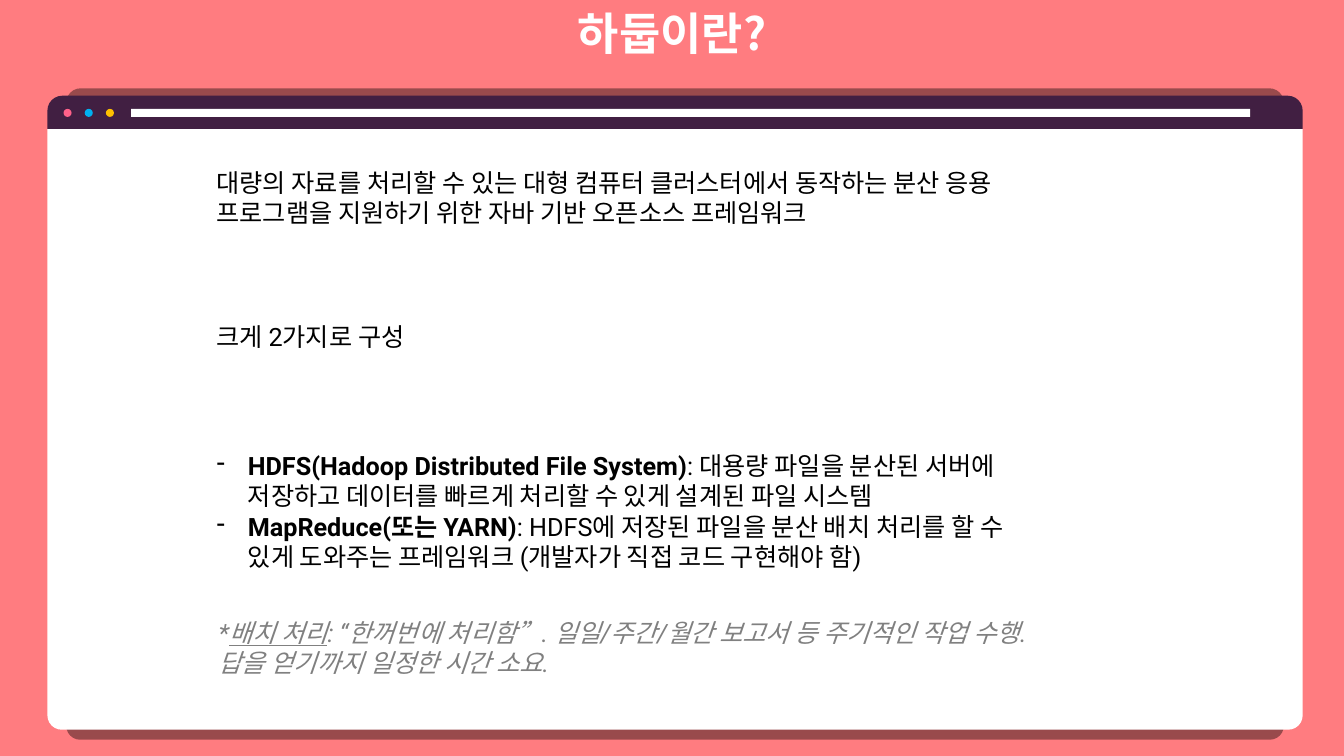
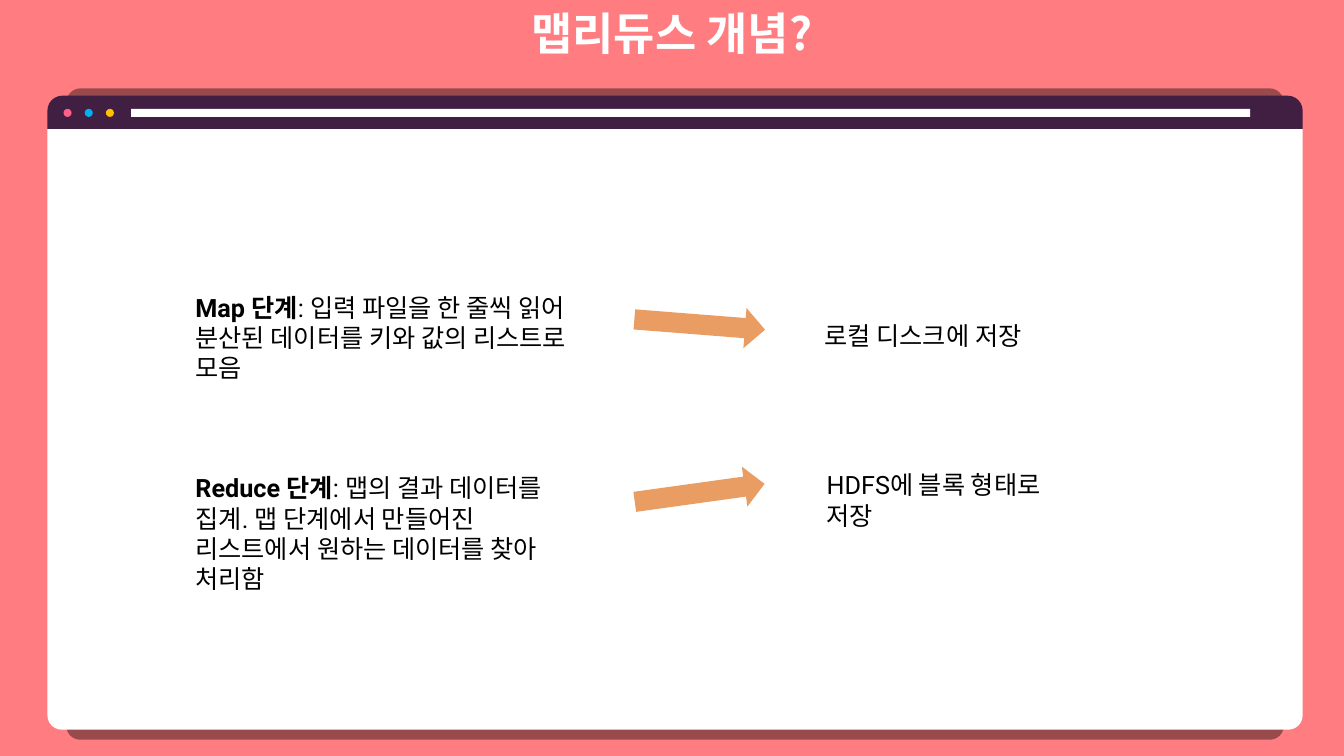
from lxml.etree import SubElement
from pptx import Presentation
from pptx.dml.color import RGBColor
from pptx.enum.shapes import MSO_SHAPE
from pptx.enum.text import PP_ALIGN
from pptx.oxml.ns import qn
from pptx.util import Inches, Pt

CORAL = RGBColor(0xFF, 0x7C, 0x80)
PLUM = RGBColor(0x41, 0x1F, 0x42)
WHITE = RGBColor(0xFF, 0xFF, 0xFF)
BLACK = RGBColor(0, 0, 0)
GRAY = RGBColor(0x80, 0x80, 0x80)
ORANGE = RGBColor(0xEA, 0x9D, 0x63)
DOT_COLORS = (
    RGBColor(0xFF, 0x61, 0x89),
    RGBColor(0x00, 0xB0, 0xF0),
    RGBColor(0xFF, 0xC0, 0x00),
)
KOREAN_FONT = "Noto Sans CJK KR"
BODY_FONT = "Roboto"
SLIDE_WIDTH, SLIDE_HEIGHT = 13.33, 7.5
WINDOW = (0.47, 0.95, 12.45, 6.29)


def add_block(slide, kind, box, color, adjustments=()):
    shape = slide.shapes.add_shape(kind, *map(Inches, box))
    shape.shadow.inherit = False
    shape.fill.solid()
    shape.fill.fore_color.rgb = color
    shape.line.fill.background()
    for index, value in enumerate(adjustments):
        shape.adjustments[index] = value
    return shape


def add_shadow(shape, distance, degrees, alignment):
    effects = shape._element.spPr.find(qn("a:effectLst"))
    shadow = SubElement(effects, qn("a:outerShdw"), {
        "blurRad": "0", "dist": str(Pt(distance)), "dir": str(degrees * 60000),
        "sx": "97000", "sy": "97000", "algn": alignment, "rotWithShape": "0",
    })
    color = SubElement(shadow, qn("a:srgbClr"), val=str(BLACK))
    SubElement(color, qn("a:alpha"), val="40000")


def add_text(slide, box, paragraphs, color=BLACK, size=18, font_name=BODY_FONT,
             bold=None, italic=None, align=PP_ALIGN.LEFT, bullet=None, gap=0):
    frame = slide.shapes.add_textbox(*map(Inches, box)).text_frame
    frame.word_wrap = True
    for index, runs in enumerate(paragraphs):
        paragraph = frame.add_paragraph() if index else frame.paragraphs[0]
        paragraph.alignment = align
        if index:
            paragraph.space_before = Pt(gap)
        if bullet:
            properties = paragraph._p.get_or_add_pPr()
            properties.set("marL", str(Inches(0.31)))
            properties.set("indent", str(-Inches(0.31)))
            SubElement(properties, qn("a:buFontTx"))
            SubElement(properties, qn("a:buChar"), char=bullet)
        font = paragraph.font
        font.name, font.size, font.bold, font.italic = font_name, Pt(size), bold, italic
        font.color.rgb = color
        SubElement(font._element, qn("a:ea"), typeface=KOREAN_FONT)
        for text, style in runs:
            run = paragraph.add_run()
            run.text = text
            if style == "bold":
                run.font.bold = True
            elif style == "underline":
                run.font.underline = True


def add_title(slide, title):
    add_text(slide, (0, 0.01, SLIDE_WIDTH, 0.64), [[(title, None)]], WHITE, 32,
             KOREAN_FONT, bold=True, align=PP_ALIGN.CENTER)


def add_browser_window(slide, box):
    left, top, width, height = box
    bar_height, dot, pitch = 0.33, 0.08, 0.21
    body = add_block(slide, MSO_SHAPE.ROUND_2_SAME_RECTANGLE,
                     (left, top + bar_height, width, height - bar_height), WHITE, (0, 0.024))
    add_shadow(body, 20, 90, "t")
    bar = add_block(slide, MSO_SHAPE.ROUND_2_SAME_RECTANGLE,
                    (left, top, width, bar_height), PLUM, (0.447, 0))
    add_shadow(bar, 6, 270, "b")
    row = top + 0.13
    add_block(slide, MSO_SHAPE.RECTANGLE, (left + 0.83, row, width - 1.35, dot), WHITE)
    for index, color in enumerate(DOT_COLORS):
        add_block(slide, MSO_SHAPE.OVAL, (left + 0.16 + index * pitch, row, dot, dot), color)


def add_window_slide(presentation, title):
    slide = presentation.slides.add_slide(presentation.slide_layouts[6])
    slide.background.fill.solid()
    slide.background.fill.fore_color.rgb = CORAL
    add_browser_window(slide, WINDOW)
    add_title(slide, title)
    return slide


def add_definition(slide, box):
    left, top, width, height = box
    add_text(slide, (left, top, width, 1.01), [[
        ("대량의 자료를 처리할 수 있는 대형 컴퓨터 클러스터에서 동작하는 분산 응용 "
         "프로그램을 지원하기 위한 자바 기반 오픈소스 프레임워크", None)]])
    add_text(slide, (left, top + 1.53, width, 0.4), [[("크게 2가지로 구성", None)]])
    add_text(slide, (left, top + 2.81, width, 1.31), [
        [("HDFS(Hadoop Distributed File System)", "bold"),
         (": 대용량 파일을 분산된 서버에 저장하고 데이터를 빠르게 처리할 수 있게 "
          "설계된 파일 시스템", None)],
        [("MapReduce(또는 YARN)", "bold"),
         (": HDFS에 저장된 파일을 분산 배치 처리를 할 수 있게 도와주는 프레임워크 "
          "(개발자가 직접 코드 구현해야 함)", None)],
    ], bullet="-")
    add_text(slide, (left + 0.02, top + height - 0.71, width, 0.71), [[
        ("*", None), ("배치 처리", "underline"),
        (": “한꺼번에 처리함”. 일일/주간/월간 보고서 등 주기적인 작업 수행. "
         "답을 얻기까지 일정한 시간 소요.", None)]], GRAY, italic=True)


def add_stages(slide, box):
    left, top, width, height = box
    add_text(slide, (left, top, 3.96, height), [
        [("Map 단계", "bold"),
         (": 입력 파일을 한 줄씩 읽어 분산된 데이터를 키와 값의 리스트로 모음", None)],
        [("Reduce 단계", "bold"),
         (": 맵의 결과 데이터를 집계. 맵 단계에서 만들어진 리스트에서 원하는 데이터를 "
          "찾아 처리함", None)],
    ], gap=64)
    results = (
        ("로컬 디스크에 저장", 6.24, 0.28, 0.17, 4.5),
        ("HDFS에 블록 형태로 저장", 6.26, 1.76, 1.84, -7.9),
    )
    for text, text_left, text_top, arrow_top, rotation in results:
        add_text(slide, (left + text_left, top + text_top, 2.81, 0.4), [[(text, None)]])
        arrow = add_block(slide, MSO_SHAPE.RIGHT_ARROW,
                          (left + 4.45, top + arrow_top, 1.3, 0.4), ORANGE)
        arrow.rotation = rotation


def main():
    presentation = Presentation()
    presentation.slide_width = Inches(SLIDE_WIDTH)
    presentation.slide_height = Inches(SLIDE_HEIGHT)
    add_definition(add_window_slide(presentation, "하둡이란?"), (2.05, 1.61, 8.44, 5.17))
    add_stages(add_window_slide(presentation, "맵리듀스 개념?"), (1.84, 2.85, 9.07, 2.52))
    presentation.save("out.pptx")


if __name__ == "__main__":
    main()
